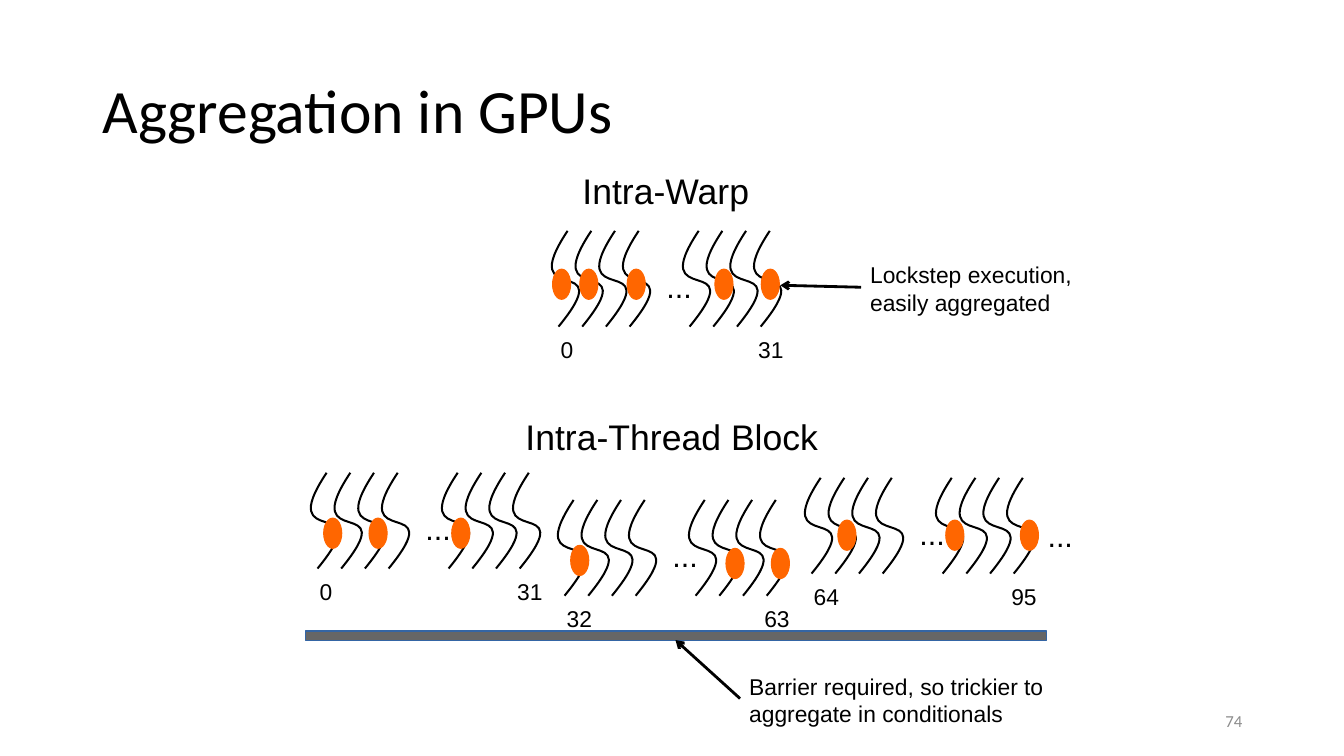
import lxml.etree
import pptx
import pptx.dml.color
import pptx.enum.shapes
import pptx.enum.text
import pptx.oxml.ns
import pptx.util

Inches = pptx.util.Inches
Pt = pptx.util.Pt
qn = pptx.oxml.ns.qn
ALIGN = pptx.enum.text.PP_ALIGN
ANCHOR = pptx.enum.text.MSO_ANCHOR
SHAPE = pptx.enum.shapes.MSO_SHAPE

BLACK, ORANGE, GREY, BLUE = "000000", "FF6600", "666666", "3465A4"
HEADING = {"size": Pt(25.4)}
LABEL = {"size": Pt(16.3)}
ELLIPSIS = {"size": Pt(21.8)}


def color(hex_value):
    return pptx.dml.color.RGBColor.from_string(hex_value)


def add_text(slide, box, text, font, align=ALIGN.LEFT, hex_color=BLACK,
             insets=(0.09, 0.05), **frame_format):
    frame = slide.shapes.add_textbox(*map(Inches, box)).text_frame
    side, edge = map(Inches, insets)
    settings = {"word_wrap": False, "margin_left": side, "margin_right": side,
                "margin_top": edge, "margin_bottom": edge, **frame_format}
    for key, value in settings.items():
        setattr(frame, key, value)
    frame.text = text
    paragraph = frame.paragraphs[0]
    paragraph.alignment = align
    for key, value in {"name": "Arial", **font}.items():
        setattr(paragraph.font, key, value)
    paragraph.font.color.rgb = color(hex_color)
    return paragraph


def add_ellipsis(slide, left, top):
    add_text(slide, (left, top, 0.5, 0.44), "...", ELLIPSIS)


def add_filled(slide, kind, box, fill, outline):
    shape = slide.shapes.add_shape(kind, *map(Inches, box))
    shape.shadow.inherit = False
    shape.fill.solid()
    shape.fill.fore_color.rgb = color(fill)
    shape.line.color.rgb = color(outline)
    shape.line.width = Pt(0)


def add_thread(slide, left, top):
    """Draw one S-shaped thread as a single cubic curve."""
    builder = slide.shapes.build_freeform(Inches(0.16), 0)
    corners = [(0, 0.81), (0.27, 0.18), (0.07, 0.95)]
    builder.add_line_segments([(Inches(x), Inches(y)) for x, y in corners], close=False)
    thread = builder.convert_to_shape(Inches(left), Inches(top))
    thread.shadow.inherit = False
    thread.fill.background()
    thread.line.color.rgb = color(BLACK)
    thread.line.width = Pt(1.45)

    # The two control points lie outside the box that the curve fills.
    outline = next(thread.element.iter(qn("a:path")))
    curve = lxml.etree.SubElement(outline, qn("a:cubicBezTo"))
    for segment in outline.findall(qn("a:lnTo")):
        curve.append(segment[0])
        outline.remove(segment)
    for point, x in zip(curve, (-0.38, 0.7)):
        point.set("x", str(Inches(x)))


def add_warp(slide, left, top, first, last, marks):
    """Draw two groups of four threads; marks are offsets of the active dots."""
    for group in (0, 1.3):
        for i in range(4):
            add_thread(slide, left + group + 0.235 * i, top)
    add_ellipsis(slide, left + 1.05, top + 0.32)
    for x, number in ((0, first), (1.96, last)):
        add_text(slide, (left + x, top + 0.99, 0.44, 0.35), str(number), LABEL)
    for x, y in marks:
        add_filled(slide, SHAPE.OVAL, (left + x, top + y, 0.18, 0.3), ORANGE, ORANGE)


def add_arrow(slide, start, end):
    arrow = slide.shapes.add_connector(
        pptx.enum.shapes.MSO_CONNECTOR.STRAIGHT, *map(Inches, start + end))
    arrow.line.color.rgb = color(BLACK)
    arrow.line.width = Pt(2)
    line = arrow.line._get_or_add_ln()
    lxml.etree.SubElement(line, qn("a:tailEnd"), type="arrow")
    lxml.etree.SubElement(arrow.element.spPr, qn("a:effectLst"))


def add_frame(slide):
    """Add the title and the slide number."""
    title = add_text(slide, (0.92, 0.74, 11.5, 0.77), "Aggregation in GPUs",
                     {"name": "Calibri", "size": Pt(44)}, insets=(0.1, 0.05),
                     word_wrap=True, vertical_anchor=ANCHOR.MIDDLE)
    title.line_spacing = 0.9
    add_text(slide, (9.42, 6.95, 3, 0.4), "74", {"name": "Calibri", "size": Pt(12)},
             ALIGN.RIGHT, "8C8C8C", insets=(0.1, 0.05), word_wrap=True,
             vertical_anchor=ANCHOR.MIDDLE)


def add_intra_warp(slide, left, top):
    add_text(slide, (left + 0.21, top, 1.85, 0.5), "Intra-Warp", HEADING, ALIGN.CENTER)
    add_warp(slide, left, top + 0.66, 0, 31,
             [(x, 0.38) for x in (0.01, 0.28, 0.75, 1.62, 2.08)])
    add_text(slide, (left + 3.07, top + 0.91, 2.2, 0.62),
             "Lockstep execution,\veasily aggregated", LABEL)
    add_arrow(slide, (left + 3.07, top + 1.22), (left + 2.27, top + 1.2))


def add_intra_block(slide, left, top):
    add_text(slide, (left + 2.08, top, 3.11, 0.5), "Intra-Thread Block",
             HEADING, ALIGN.CENTER)
    warps = [
        (0.62, [(0.13, 0.45), (0.58, 0.45), (1.4, 0.45)]),
        (0.89, [(0.13, 0.45), (1.67, 0.48), (2.12, 0.48)]),
        (0.67, [(0.33, 0.42), (1.4, 0.42), (2.14, 0.42)]),
    ]
    for i, (drop, marks) in enumerate(warps):
        add_warp(slide, left + 0.05 + 2.45 * i, top + drop, 32 * i, 32 * i + 31, marks)
    add_ellipsis(slide, left + 7.27, top + 1.01)
    add_filled(slide, SHAPE.RECTANGLE, (left, top + 2.19, 7.35, 0.09), GREY, BLUE)
    add_text(slide, (left + 4.31, top + 2.55, 3.2, 0.62),
             "Barrier required, so trickier to\vaggregate in conditionals", LABEL)
    add_arrow(slide, (left + 4.31, top + 2.86), (left + 3.67, top + 2.28))


def main():
    deck = pptx.Presentation()
    deck.slide_width, deck.slide_height = Inches(13.33), Inches(7.5)
    slide = deck.slides.add_slide(deck.slide_layouts[6])
    add_frame(slide)
    add_intra_warp(slide, 5.47, 1.63)
    add_intra_block(slide, 3.03, 4.07)
    deck.save("out.pptx")


if __name__ == "__main__":
    main()
